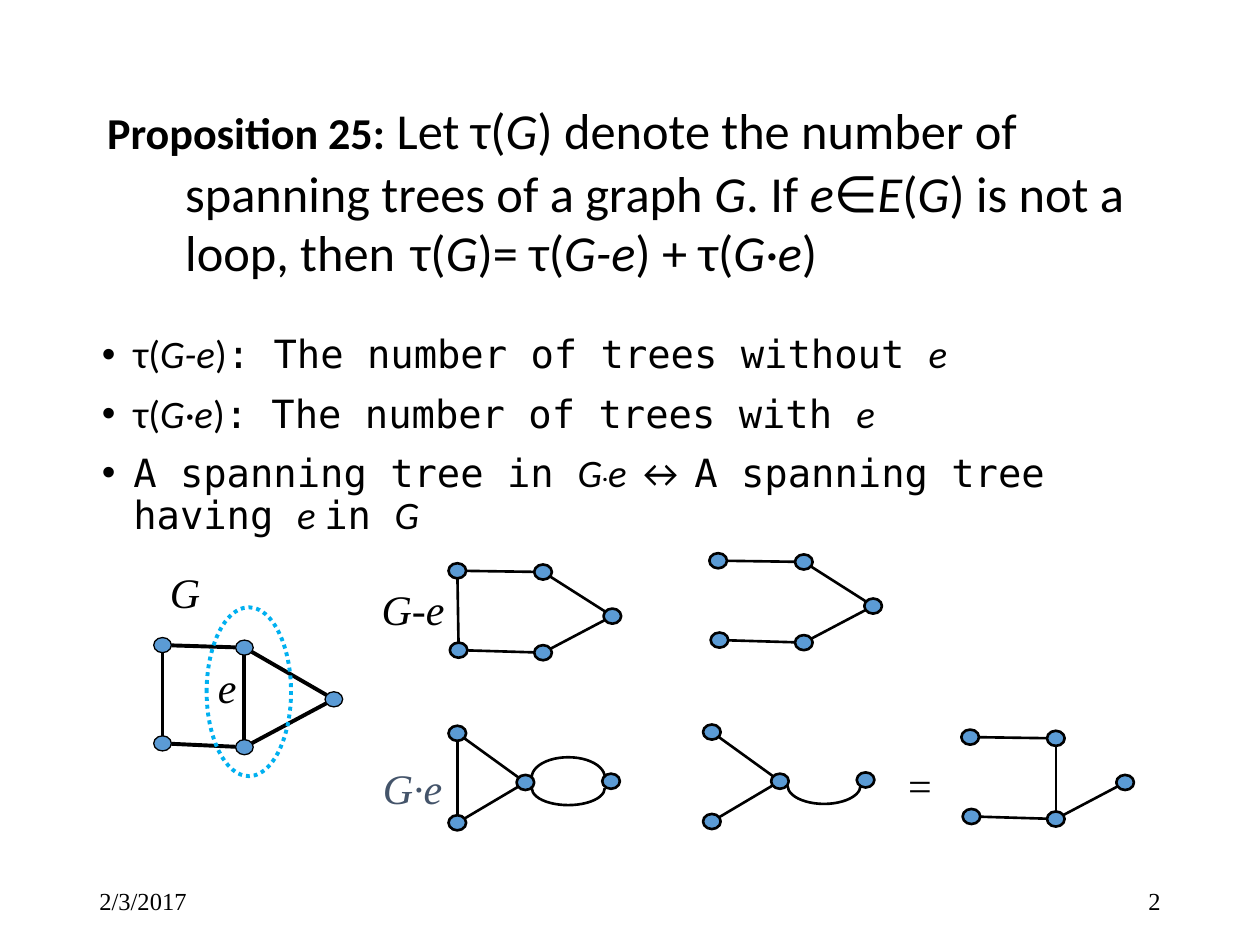
import math

from lxml import etree
from pptx import Presentation
from pptx import util as u
from pptx.dml.color import RGBColor
from pptx.enum import dml, shapes, text
from pptx.oxml import ns

BLACK = RGBColor(0x00, 0x00, 0x00)
BLUE = RGBColor(0x5B, 0x9B, 0xD5)
CYAN = RGBColor(0x00, 0xB0, 0xF0)
SLATE = RGBColor(0x44, 0x54, 0x6A)

SANS, MONO, SERIF = "Calibri", "DejaVu Sans Mono", "Times New Roman"
NODE_W, NODE_H = 0.14, 0.12

# Node centres relative to the top left node:
# 0 top left, 1 bottom left, 2 tip, 3 top right, 4 bottom right
G_NODES = [(0, 0), (0, 0.78), (1.36, 0.43), (0.65, 0.02), (0.65, 0.81)]
HOUSE = [(0, 0), (0.01, 0.63), (1.23, 0.36), (0.68, 0.01), (0.68, 0.65)]
# 0 top left, 1 bottom left, 2 merged ends of e, 3 tip
CONTRACTED = [(0, 0), (0, 0.71), (0.54, 0.39), (1.22, 0.38)]


def add_run(p, content, font=SANS, size=24, color=BLACK, bold=False,
            italic=False, baseline=0):
    r = p.add_run()
    r.text = content
    r.font.name, r.font.size = font, u.Pt(size)
    r.font.bold, r.font.italic = bold, italic
    r.font.color.rgb = color
    if baseline:
        r.font._element.set("baseline", str(baseline * 1000))


def add_math(p, content, **fmt):
    """Add text in which the parts between underscores are italic."""
    for i, part in enumerate(content.split("_")):
        if part:
            add_run(p, part, italic=i % 2 == 1, **fmt)


def set_indent(p, inches, bullet=None):
    """Give the paragraph a hanging indent and an optional bullet."""
    pPr = p._p.get_or_add_pPr()
    pPr.set("marL", str(u.Inches(inches)))
    pPr.set("indent", str(-u.Inches(inches)))
    if bullet:
        font = etree.SubElement(pPr, ns.qn("a:buFont"))
        font.set("typeface", "Arial")
        etree.SubElement(pPr, ns.qn("a:buChar")).set("char", bullet)


class GraphSlide:
    def __init__(self, prs):
        self.s = prs.slides.add_slide(prs.slide_layouts[5])

    def title(self, left, top, width, height):
        sp = self.s.shapes.title
        sp.left, sp.top = u.Inches(left), u.Inches(top)
        sp.width, sp.height = u.Inches(width), u.Inches(height)
        tf = sp.text_frame
        tf.word_wrap, tf.auto_size = True, text.MSO_AUTO_SIZE.NONE
        tf.vertical_anchor = text.MSO_ANCHOR.MIDDLE
        p = tf.paragraphs[0]
        p.alignment = text.PP_ALIGN.LEFT
        p.line_spacing = u.Pt(36)
        set_indent(p, 0.62)
        return p

    def text_box(self, left, top, width, height, wrap=True):
        sp = self.s.shapes.add_textbox(u.Inches(left), u.Inches(top),
                                       u.Inches(width), u.Inches(height))
        sp.text_frame.word_wrap = wrap
        return sp.text_frame

    def label(self, content, left, top, width, height=0.5, **fmt):
        tf = self.text_box(left, top, width, height, wrap=False)
        add_run(tf.paragraphs[0], content, font=SERIF, **fmt)

    def footer(self, content, left, align):
        tf = self.text_box(left, 6.95, 2.25, 0.4)
        tf.vertical_anchor = text.MSO_ANCHOR.MIDDLE
        tf.paragraphs[0].alignment = align
        add_run(tf.paragraphs[0], content, font=SERIF, size=14)

    def bullets(self, items, left, top, width, height):
        tf = self.text_box(left, top, width, height)
        for i, runs in enumerate(items):
            p = tf.add_paragraph() if i else tf.paragraphs[0]
            p.line_spacing, p.space_before = 0.9, u.Pt(10)
            set_indent(p, 0.25, "•")
            for content, fmt in runs:
                add_math(p, content, size=22.2, **fmt)

    def shape(self, kind, left, top, width, height, line=BLACK, weight=1.5,
              fill=None):
        sp = self.s.shapes.add_shape(kind, u.Inches(left), u.Inches(top),
                                     u.Inches(width), u.Inches(height))
        sp.shadow.inherit = False
        if fill is None:
            sp.fill.background()
        else:
            sp.fill.solid()
            sp.fill.fore_color.rgb = fill
        sp.line.color.rgb, sp.line.width = line, u.Pt(weight)
        return sp

    def edge(self, a, b, weight):
        """Join the rims of the nodes centred at a and b."""
        dx, dy = b[0] - a[0], b[1] - a[1]
        t = 1 / math.hypot(dx / (NODE_W / 2), dy / (NODE_H / 2))
        ends = (a[0] + t * dx, a[1] + t * dy, b[0] - t * dx, b[1] - t * dy)
        line = self.s.shapes.add_connector(shapes.MSO_CONNECTOR.STRAIGHT,
                                           *map(u.Inches, ends))
        line.line.color.rgb, line.line.width = BLACK, u.Pt(weight)
        etree.SubElement(line._element.spPr, ns.qn("a:effectLst"))

    def graph(self, x, y, offsets, edges, edge_weight=1.5, rim=1.5):
        nodes = [(x + dx, y + dy) for dx, dy in offsets]
        for a, b in edges:
            self.edge(nodes[a], nodes[b], edge_weight)
        for cx, cy in nodes:
            self.shape(shapes.MSO_SHAPE.OVAL, cx - NODE_W / 2, cy - NODE_H / 2,
                       NODE_W, NODE_H, weight=rim, fill=BLUE)

    def half_ellipse(self, left, top, height, upper):
        sp = self.shape(shapes.MSO_SHAPE.ARC, left, top, 0.58, height)
        # One unit is 100000 / 60000 degrees, so 108 is a half turn
        sp.adjustments[0], sp.adjustments[1] = (108, 0) if upper else (0, 108)


def main():
    prs = Presentation()
    prs.slide_width, prs.slide_height = u.Inches(10), u.Inches(7.5)
    s = GraphSlide(prs)

    p = s.title(0.75, 0.67, 8.5, 1.69)
    add_run(p, "Proposition 25:", size=25.2, bold=True)
    add_math(p, " Let τ(_G_) denote the number of spanning trees of a graph "
                "_G_. If _e_∈_E_(_G_) is not a loop, then", size=28.8)
    add_run(p, " ", size=39.6)
    add_math(p, "τ(_G_)= τ(_G-e_) + τ(_G·e_)", size=28.8)

    sans, mono = {"font": SANS}, {"font": MONO}
    s.bullets([
        [("τ(_G-e_)", sans), (": The number of trees without ", mono),
         ("_e_", sans)],
        [("τ(_G·e_)", sans), (": The number of trees with ", mono),
         ("_e_", sans)],
        [("A spanning tree in ", mono), ("_G_", sans),
         (".", {"bold": True, "baseline": 16}), ("_e_ ↔ ", sans),
         ("A spanning tree having ", mono), ("_e _", sans), ("in ", mono),
         ("_G_", sans)],
    ], 0.71, 2.61, 8.5, 1.62)

    # G with the edge e ringed
    s.graph(1.29, 5.12, G_NODES,
            [(0, 3), (1, 4), (0, 1), (3, 4), (3, 2), (4, 2)], 2.25, 0.75)
    ring = s.shape(shapes.MSO_SHAPE.OVAL, 1.64, 4.82, 0.67, 1.34, CYAN, 2.25)
    ring.line.dash_style = dml.MSO_LINE.ROUND_DOT
    s.label("e", 1.63, 5.2, 0.35, italic=True)
    s.label("G", 1.25, 4.45, 0.44, italic=True)

    # G-e and a spanning tree of it
    tree = [(0, 3), (1, 4), (3, 2), (4, 2)]
    s.label("G-e", 2.93, 4.58, 0.7, italic=True)
    s.graph(3.63, 4.53, HOUSE, tree + [(0, 1)])
    s.graph(5.7, 4.45, HOUSE, tree)

    # G·e, a spanning tree of it and the matching tree of G
    fork = [(0, 2), (1, 2)]
    s.label("G·e", 2.94, 6, 0.67, italic=True, color=SLATE)
    s.graph(3.63, 5.82, CONTRACTED, fork + [(0, 1)])
    s.half_ellipse(4.22, 6.01, 0.32, upper=True)
    s.half_ellipse(4.22, 6.12, 0.27, upper=False)
    s.graph(5.65, 5.81, CONTRACTED, fork)
    s.half_ellipse(6.25, 6.09, 0.29, upper=False)
    s.label("=", 7.11, 5.98, 0.26)
    s.graph(7.7, 5.85, HOUSE, [(0, 3), (1, 4), (3, 4), (4, 2)])

    s.footer("2/3/2017", 0.69, text.PP_ALIGN.LEFT)
    s.footer("2", 7.06, text.PP_ALIGN.RIGHT)
    prs.save("out.pptx")


if __name__ == "__main__":
    main()
